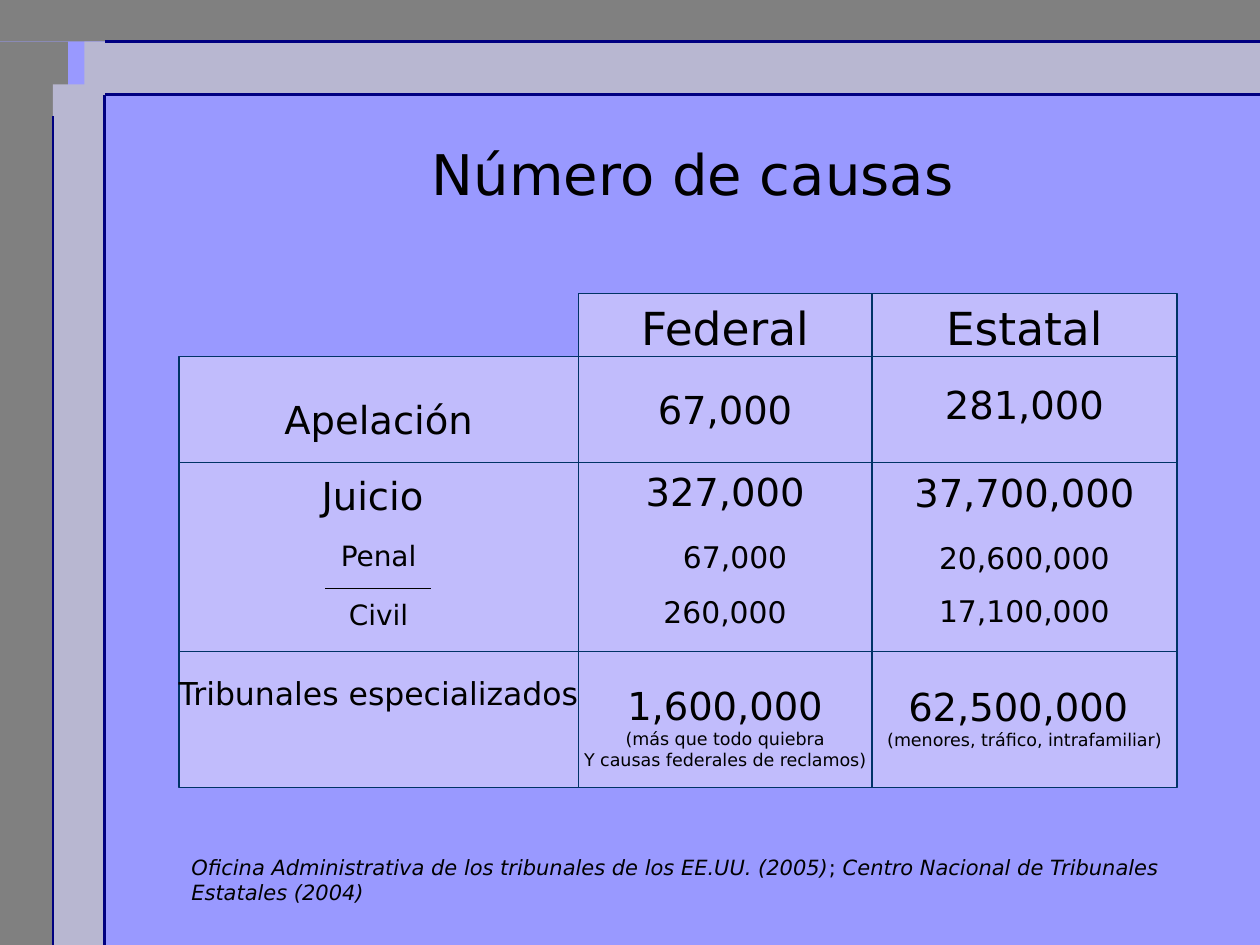
from dataclasses import dataclass

from lxml import etree
from pptx import Presentation
from pptx.dml.color import RGBColor
from pptx.enum.shapes import MSO_CONNECTOR, MSO_SHAPE
from pptx.enum.text import MSO_ANCHOR, PP_ALIGN
from pptx.oxml.ns import qn
from pptx.util import Inches, Pt

STRAIGHT = MSO_CONNECTOR.STRAIGHT
RECTANGLE, PROCESS = MSO_SHAPE.RECTANGLE, MSO_SHAPE.FLOWCHART_PROCESS
TOP, MIDDLE = MSO_ANCHOR.TOP, MSO_ANCHOR.MIDDLE
LEFT, CENTER = PP_ALIGN.LEFT, PP_ALIGN.CENTER


@dataclass(frozen=True)
class Theme:
    font: str = "DejaVu Sans"
    background: str = "9999FF"
    edge: str = "808080"
    band: str = "B8B7D1"
    frame: str = "000080"
    cell: str = "C1BCFC"
    grid: str = "003366"
    text: str = "000000"
    title: int = 32
    heading: int = 26
    figure: int = 22
    court: int = 18
    subfigure: int = 17
    subhead: int = 16
    source: int = 12
    remark: int = 10
    thin: float = 0.75
    thick: float = 1.5


@dataclass
class Entry:
    text: str
    size: int
    gap: float = 0  # points above the paragraph
    indent: float = 0  # inches


class SlideBuilder:
    def __init__(self, slide, theme):
        self.slide = slide
        self.theme = theme
        fill = slide.background.fill
        fill.solid()
        fill.fore_color.rgb = RGBColor.from_string(theme.background)

    def box(self, shape_type, left, top, width, height, color):
        shape = self.slide.shapes.add_shape(
            shape_type, Inches(left), Inches(top), Inches(width), Inches(height))
        shape.shadow.inherit = False
        shape.fill.solid()
        shape.fill.fore_color.rgb = RGBColor.from_string(color)
        shape.line.fill.background()
        return shape

    def cell(self, left, top, width, height, entries, inset=0.05):
        shape = self.box(PROCESS, left, top, width, height, self.theme.cell)
        shape.line.color.rgb = RGBColor.from_string(self.theme.grid)
        shape.line.width = Pt(self.theme.thin)
        frame = shape.text_frame
        frame.word_wrap = False
        frame.vertical_anchor = TOP
        frame.margin_top = Inches(inset)
        frame.text = "\n".join(entry.text for entry in entries)
        for paragraph, entry in zip(frame.paragraphs, entries):
            paragraph.alignment = CENTER
            if entry.gap:
                paragraph.space_before = Pt(entry.gap)
            if entry.indent:
                paragraph._p.get_or_add_pPr().set("marL", str(Inches(entry.indent)))
            for run in paragraph.runs:
                self.style(run, entry.size)

    def line(self, x1, y1, x2, y2, color, width):
        connector = self.slide.shapes.add_connector(
            STRAIGHT, Inches(x1), Inches(y1), Inches(x2), Inches(y2))
        connector.line.color.rgb = RGBColor.from_string(color)
        connector.line.width = Pt(width)
        etree.SubElement(connector._element.spPr, qn("a:effectLst"))

    def text(self, left, top, width, height, parts, size, align=LEFT, anchor=TOP):
        """Add one paragraph made of (text, italic) parts."""
        frame = self.slide.shapes.add_textbox(
            Inches(left), Inches(top), Inches(width), Inches(height)).text_frame
        frame.word_wrap = True
        frame.vertical_anchor = anchor
        paragraph = frame.paragraphs[0]
        paragraph.alignment = align
        for words, italic in parts:
            run = paragraph.add_run()
            run.text = words
            self.style(run, size, italic)

    def style(self, run, size, italic=False):
        run.font.name = self.theme.font
        run.font.size = Pt(size)
        run.font.italic = italic
        run.font.color.rgb = RGBColor.from_string(self.theme.text)


def main():
    presentation = Presentation()
    presentation.slide_width, presentation.slide_height = Inches(10), Inches(7.5)
    theme = Theme()
    builder = SlideBuilder(
        presentation.slides.add_slide(presentation.slide_layouts[6]), theme)

    # Border bands and frame lines
    for left, top, width, height, color in (
            (0, 0.33, 0.54, 7.17, theme.edge),
            (0, 0, 10, 0.33, theme.edge),
            (0.42, 0.67, 0.42, 6.83, theme.band),
            (0.67, 0.33, 9.33, 0.42, theme.band)):
        builder.box(RECTANGLE, left, top, width, height, color)
    for ends in ((10, 0.75, 0.83, 0.75), (0.83, 7.5, 0.83, 0.75),
                 (0.42, 7.5, 0.42, 0.92), (10, 0.33, 0.83, 0.33)):
        builder.line(*ends, theme.frame, theme.thick)

    # Title
    builder.text(1.5, 1, 8, 0.75, [("Número de causas", False)],
                 theme.title, CENTER, MIDDLE)

    # Columns of case counts
    label_left, federal_left, state_left, grid_right = 1.42, 4.59, 6.92, 9.34
    header_top, appeal_top, trial_top, special_top, grid_bottom = (
        2.33, 2.83, 3.67, 5.17, 6.25)
    federal = [
        Entry("Federal", theme.heading),
        Entry("67,000", theme.figure, 18),
        Entry("327,000", theme.figure, 20.5),
        Entry("67,000", theme.subfigure, 14.3, indent=0.16),
        Entry("260,000", theme.subfigure, 11),
        Entry("1,600,000", theme.figure, 30),
        Entry("(más que todo quiebra", theme.remark),
        Entry("Y causas federales de reclamos)", theme.remark),
    ]
    state = [
        Entry("Estatal", theme.heading),
        Entry("281,000", theme.figure, 15),
        Entry("37,700,000", theme.figure, 24),
        Entry("20,600,000", theme.subfigure, 14.3),
        Entry("17,100,000", theme.subfigure, 9.5),
        Entry("62,500,000 ", theme.figure, 31.5),
        Entry("(menores, tráfico, intrafamiliar)", theme.remark),
    ]
    for left, right, entries in ((federal_left, state_left, federal),
                                 (state_left, grid_right, state)):
        builder.cell(left, header_top, right - left, grid_bottom - header_top, entries)

    # Row labels
    trial = [Entry("Juicio ", theme.figure),
             Entry("Penal", theme.subhead, 11.5),
             Entry("Civil", theme.subhead, 14.5)]
    for top, bottom, entries, inset in (
            (appeal_top, trial_top, [Entry("Apelación", theme.figure)], 0.31),
            (trial_top, special_top, trial, 0.08),
            (special_top, grid_bottom,
             [Entry("Tribunales especializados", theme.court)], 0.18)):
        builder.cell(label_left, top, federal_left - label_left, bottom - top,
                     entries, inset)

    # Row rules across both columns, in two stretches
    rule_split = 6.67
    for y in (appeal_top, trial_top, special_top):
        for start, end in ((federal_left, rule_split), (rule_split, grid_right)):
            builder.line(start, y, end, y, theme.grid, theme.thin)

    # Rule between criminal and civil cases
    builder.line(2.58, 4.67, 3.42, 4.67, theme.text, theme.thin)

    # Sources
    builder.text(label_left, 6.73, 7.92, 0.5, [
        ("Oficina Administrativa de los tribunales de los EE.UU. (2005)", True),
        ("; ", False),
        ("Centro Nacional de Tribunales Estatales (2004)", True),
    ], theme.source)

    presentation.save("out.pptx")


if __name__ == "__main__":
    main()
